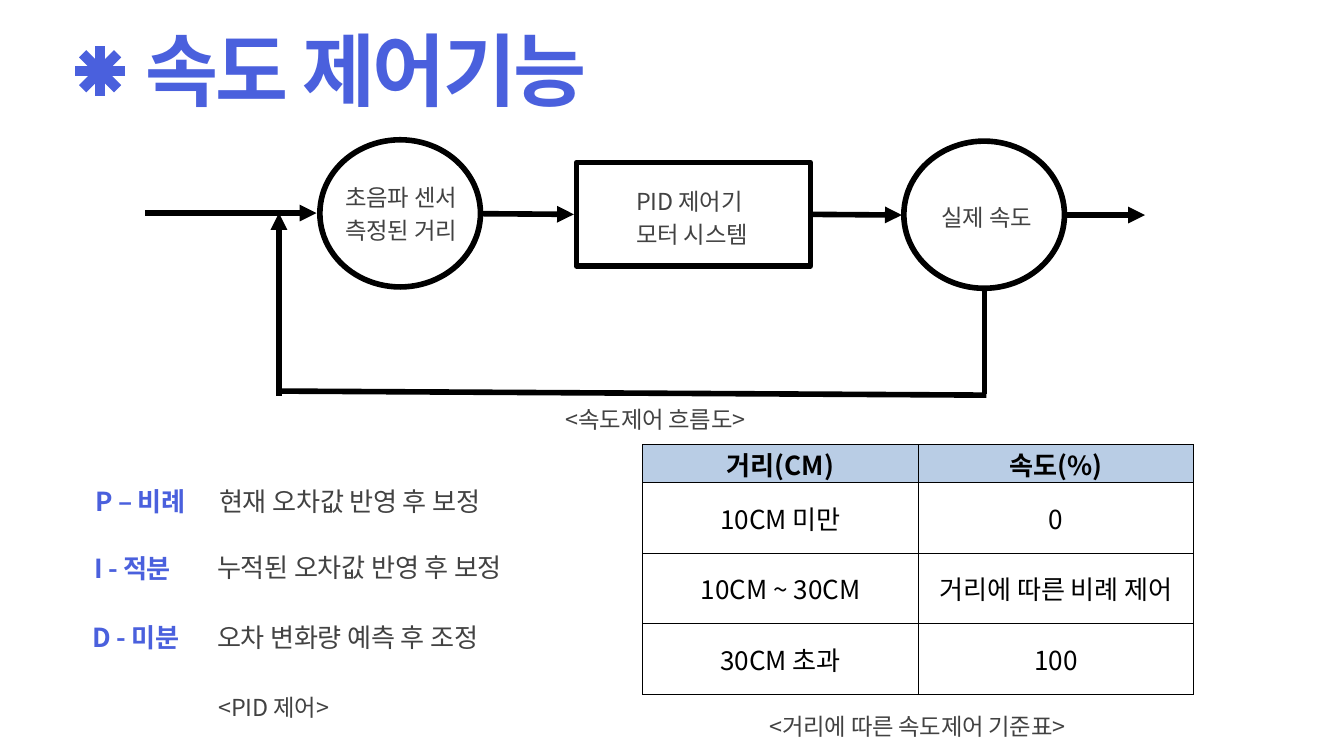
import pptx
import pptx.dml.color
import pptx.enum.shapes
import pptx.enum.text
import pptx.oxml.ns
import pptx.util
from lxml import etree

# Content; lengths in px, 100 px to the inch
EMU_PER_PX = 9144
WIDTH, HEIGHT = 2000, 1125
FONT = "Noto Sans CJK KR"
COLORS = {"accent": "4A60DD", "text": "424242", "black": "000000",
          "white": "FFFFFF", "header": "B9CDE5"}

# Style: size, colour, bold, letter spacing (1/100 pt), line height
STYLES = {
    "title": (85, "accent", True, -250, 85),
    "term": (28, "accent", True, -30, 38.9),
    "description": (28, "text", False, -20, 35),
    "caption": (25, "text", False, -20, 35),
    "cell": (28, "black", False, 0, None),
    "heading": (28, "black", True, 0, None),
}

# Left, top, width, height, style, lines
TEXTS = [
    (216, 55, 1001, 122, "title", ["속도 제어기능"]),
    (514, 266, 267, 96, "caption", ["초음파 센서 측정된 거리"]),
    (947, 272, 267, 96, "caption", ["PID 제어기", "모터 시스템"]),
    (842, 596, 500, 46, "caption", ["<속도제어 흐름도>"]),
    (140, 814, 170, 52, "term", ["I - 적분"]),
    (323, 818, 757, 48, "description", ["누적된 오차값 반영 후 보정"]),
    (138, 918, 170, 52, "term", ["D - 미분"]),
    (323, 922, 786, 48, "description", ["오차 변화량 예측 후 조정"]),
    (325, 1024, 500, 46, "caption", ["<PID 제어>"]),
    (1145, 1053, 500, 46, "caption", ["<거리에 따른 속도제어 기준표>"]),
]
SPEED_LABEL = (1335, 296, 267, 46, "caption", ["실제 속도"])
PROPORTIONAL = (142, 715, 716, 52, "term", ["P – 비례\t"])
PROPORTIONAL_TEXT, PROPORTIONAL_TAB = "현재 오차값 반영 후 보정", 184

CIRCLES = [(476, 208, 239, 219), (1345, 210, 239, 219)]
CONTROLLER = (858, 242, 348, 154)
# From x, y, to x, y, arrowhead
FLOW = [
    (216, 317, 471, 317, True),
    (719, 318, 854, 319, True),
    (1206, 319, 1342, 320, True),
    (1585, 320, 1704, 320, True),
    (1465, 429, 1465, 586, False),
    (415, 582, 1468, 588, False),
    (415, 589, 415, 317, True),
]
# Title asterisk: centre and the half extents of its four strokes
STAR_CENTER = (149, 106)
STAR_STROKES = [(37, 0), (0, 37), (26, 26), (26, -26)]

TABLE_AT = (956, 662)
COLUMNS = [411, 409]
ROWS = [56, 105, 105, 105]
CELLS = [
    ("거리(CM)", "속도(%)"),
    ("10CM 미만", "0"),
    ("10CM ~ 30CM", "거리에 따른 비례 제어"),
    ("30CM 초과", "100"),
]


def px(*values):
    return [pptx.util.Emu(round(value * EMU_PER_PX)) for value in values]


def rgb(name):
    return pptx.dml.color.RGBColor.from_string(COLORS[name])


def add_element(parent, tag, **attributes):
    element = etree.SubElement(parent, pptx.oxml.ns.qn(tag))
    for key, value in attributes.items():
        element.set(key, str(value))
    return element


def style_font(font, properties, style):
    size, color, bold, spacing, _ = STYLES[style]
    font.size = pptx.util.Pt(size)
    font.bold = bold
    font.color.rgb = rgb(color)
    font.name = FONT
    add_element(properties, "a:ea", typeface=FONT)
    properties.set("spc", str(spacing))


def style_paragraph(para, style):
    height = STYLES[style][4]
    if height:
        para.line_spacing = pptx.util.Pt(height)
    font = para.font
    properties = para._p.pPr.find(pptx.oxml.ns.qn("a:defRPr"))
    style_font(font, properties, style)


def add_text(page, left, top, width, height, style, lines, tab=None):
    box = page.shapes.add_textbox(*px(left, top, width, height))
    frame = box.text_frame
    frame.word_wrap = True
    frame.margin_left = frame.margin_right = 0
    frame.margin_top = frame.margin_bottom = 0
    frame.text = "\n".join(lines)
    for para in frame.paragraphs:
        if tab:
            stops = add_element(para._p.get_or_add_pPr(), "a:tabLst")
            add_element(stops, "a:tab", pos=px(tab)[0], algn="l")
        style_paragraph(para, style)
    return frame.paragraphs[0]


def add_line(page, start_x, start_y, end_x, end_y, color, weight, arrow=False):
    line = page.shapes.add_connector(
        pptx.enum.shapes.MSO_CONNECTOR.STRAIGHT, *px(start_x, start_y, end_x, end_y))
    line.line.color.rgb = rgb(color)
    line.line.width = pptx.util.Pt(weight)
    if arrow:
        add_element(line.line._get_or_add_ln(), "a:tailEnd", type="triangle")
    add_element(line._element.spPr, "a:effectLst")


def add_block(page, kind, area, fill=None):
    block = page.shapes.add_shape(kind, *px(*area))
    block.shadow.inherit = False
    block.line.color.rgb = rgb("black")
    block.line.width = pptx.util.Pt(6)
    if fill:
        block.fill.solid()
        block.fill.fore_color.rgb = rgb(fill)
    else:
        block.fill.background()


def style_cell(cell, text, heading):
    cell.text = text
    cell.vertical_anchor = pptx.enum.text.MSO_ANCHOR.MIDDLE
    cell.margin_top = cell.margin_bottom = 0
    para = cell.text_frame.paragraphs[0]
    para.alignment = pptx.enum.text.PP_ALIGN.CENTER
    style_paragraph(para, "heading" if heading else "cell")
    properties = cell._tc.get_or_add_tcPr()
    for side in ("a:lnL", "a:lnR", "a:lnT", "a:lnB"):
        border = add_element(properties, side, w=pptx.util.Pt(1))
        add_element(add_element(border, "a:solidFill"), "a:srgbClr", val=COLORS["black"])
    if heading:
        cell.fill.solid()
        cell.fill.fore_color.rgb = rgb("header")
    else:
        cell.fill.background()


def add_speed_table(page):
    frame = page.shapes.add_table(len(ROWS), len(COLUMNS),
                                  *px(*TABLE_AT, sum(COLUMNS), sum(ROWS)))
    table = frame.table
    for column, width in zip(table.columns, px(*COLUMNS)):
        column.width = width
    for row, height in zip(table.rows, px(*ROWS)):
        row.height = height
    for r, texts in enumerate(CELLS):
        for c, text in enumerate(texts):
            style_cell(table.cell(r, c), text, r == 0)


def main():
    deck = pptx.Presentation()
    deck.slide_width, deck.slide_height = px(WIDTH, HEIGHT)
    page = deck.slides.add_slide(deck.slide_layouts[6])

    # Title asterisk
    x, y = STAR_CENTER
    for dx, dy in STAR_STROKES:
        add_line(page, x - dx, y - dy, x + dx, y + dy, "accent", 11)

    # Control loop
    for circle in CIRCLES:
        add_block(page, pptx.enum.shapes.MSO_SHAPE.OVAL, circle)
    add_block(page, pptx.enum.shapes.MSO_SHAPE.RECTANGLE, CONTROLLER, "white")
    for *ends, arrow in FLOW:
        add_line(page, *ends, "black", 6, arrow)

    # Texts
    for text in TEXTS:
        add_text(page, *text)
    add_text(page, *SPEED_LABEL).alignment = pptx.enum.text.PP_ALIGN.CENTER
    para = add_text(page, *PROPORTIONAL, tab=PROPORTIONAL_TAB)
    span = para.add_run()
    span.text = PROPORTIONAL_TEXT
    style_font(span.font, span._r.get_or_add_rPr(), "description")

    add_speed_table(page)
    deck.save("out.pptx")


if __name__ == "__main__":
    main()
